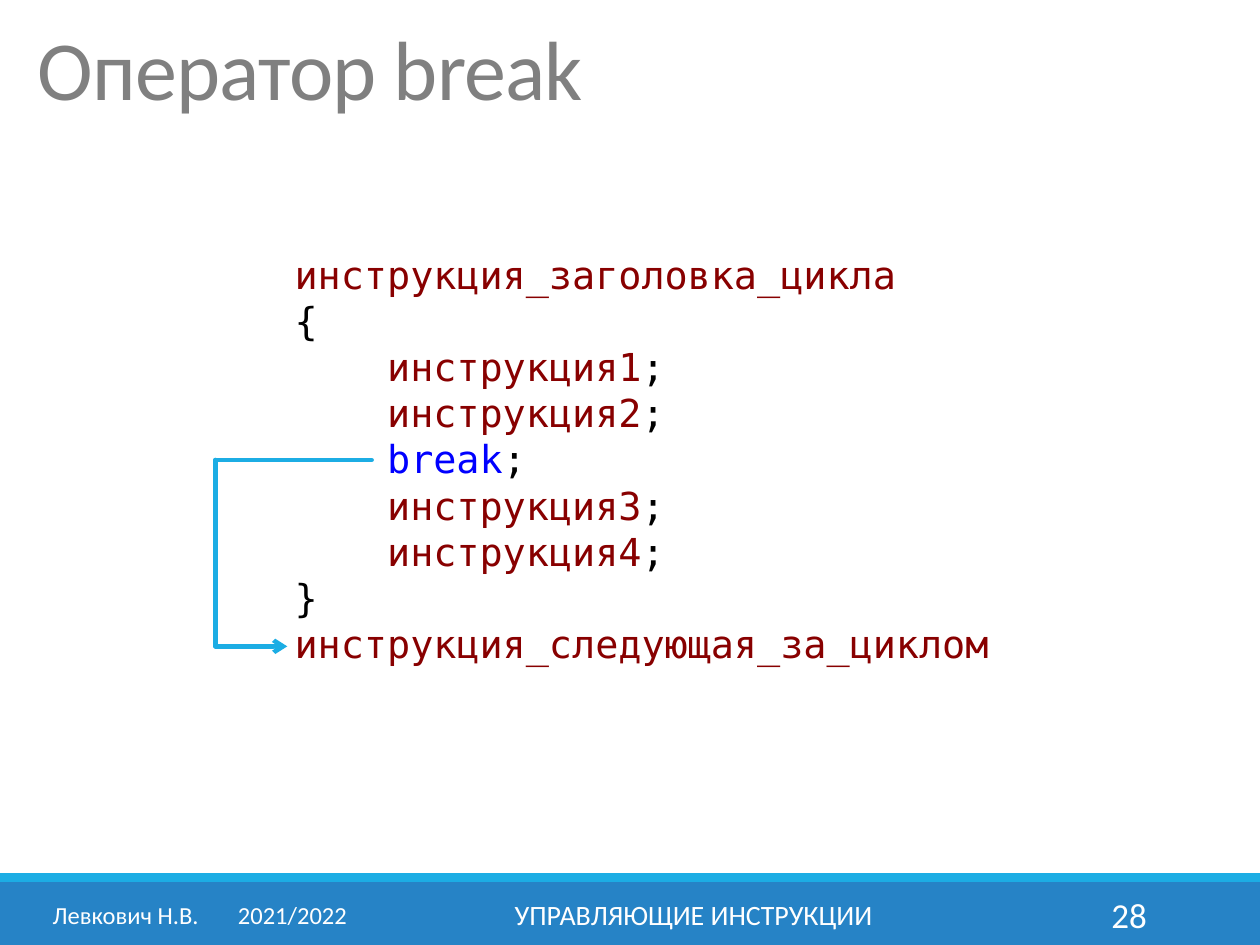
from pptx import Presentation
from pptx import util as u
from pptx.dml.color import RGBColor
from pptx.enum import shapes, text
from pptx.oxml.ns import qn
from lxml import etree

WHITE, GRAY, BLACK = "FFFFFF", "808080", "000000"
CYAN, BLUE, MAROON, KEYWORD = "1CADE4", "2683C6", "880000", "0000FF"
COLUMNS, ROWS = 100, 75
LEFT, CENTER, RIGHT = text.PP_ALIGN.LEFT, text.PP_ALIGN.CENTER, text.PP_ALIGN.RIGHT
MIDDLE, TOP = text.MSO_ANCHOR.MIDDLE, text.MSO_ANCHOR.TOP


def color(value):
    """Turn a hex string into a colour."""
    return RGBColor.from_string(value)


def apply(target, values):
    """Set every attribute named in a dict of format values."""
    for name, value in values.items():
        setattr(target, name, value)


def add_element(parent, tag, **attributes):
    """Append a drawing element to an XML parent."""
    return etree.SubElement(parent, qn(tag), attributes)


class SlideBuilder:
    """Hold the style and the slide, and place elements on a grid."""

    heading = {"name": "Calibri", "size": u.Pt(48)}
    code_font = {"name": "DejaVu Sans Mono", "size": u.Pt(22)}
    code_lines = {"line_spacing": u.Pt(26.4)}

    def __init__(self, presentation):
        """Add a title-only slide to the presentation."""
        self.cell_width = presentation.slide_width / COLUMNS
        self.cell_height = presentation.slide_height / ROWS
        self.slide = presentation.slides.add_slide(presentation.slide_layouts[5])

    def grid(self, *lengths):
        """Convert alternating columns and rows to slide lengths."""
        cells = (self.cell_width, self.cell_height)
        return [round(length * cells[i % 2]) for i, length in enumerate(lengths)]

    def fill_paragraph(self, paragraph, runs, font, layout):
        """Fill a paragraph with coloured runs."""
        apply(paragraph, layout)
        for content, fill in runs:
            run = paragraph.add_run()
            run.text = content
            apply(run.font, font)
            run.font.color.rgb = color(fill)

    def title(self, content, box):
        """Move, format and fill the title placeholder."""
        title = self.slide.shapes.title
        apply(title, dict(zip(("left", "top", "width", "height"), self.grid(*box))))
        apply(title.text_frame, {"vertical_anchor": MIDDLE, "word_wrap": True,
                                 "auto_size": text.MSO_AUTO_SIZE.NONE})
        paragraph = title.text_frame.paragraphs[0]
        self.fill_paragraph(paragraph, [(content, GRAY)], self.heading,
                            {"alignment": LEFT, "line_spacing": 0.85})
        paragraph.runs[0].font._element.set("spc", "-50")

    def bar(self, box, fill):
        """Draw a plain filled bar."""
        bar = self.slide.shapes.add_shape(shapes.MSO_SHAPE.RECTANGLE, *self.grid(*box))
        bar.shadow.inherit = False
        bar.fill.solid()
        bar.fill.fore_color.rgb = color(fill)
        bar.line.fill.background()

    def text_frame(self, box, anchor):
        """Add a wrapping text box and return its frame."""
        frame = self.slide.shapes.add_textbox(*self.grid(*box)).text_frame
        apply(frame, {"word_wrap": True, "vertical_anchor": anchor})
        return frame

    def footer(self, content, box, size, alignment, tab=None):
        """Place one footer field, with an optional tab stop."""
        paragraph = self.text_frame(box, MIDDLE).paragraphs[0]
        if tab:
            stops = add_element(paragraph._p.get_or_add_pPr(), "a:tabLst")
            add_element(stops, "a:tab", pos=str(self.grid(tab)[0]), algn="l")
        self.fill_paragraph(paragraph, [(content, WHITE)],
                            {"name": "Calibri", "size": u.Pt(size)},
                            {"alignment": alignment})

    def code(self, lines, box):
        """Place code with one paragraph per line."""
        frame = self.text_frame(box, TOP)
        for index, runs in enumerate(lines):
            paragraph = frame.add_paragraph() if index else frame.paragraphs[0]
            self.fill_paragraph(paragraph, runs, self.code_font, self.code_lines)

    def arrow(self, points, stroke, width):
        """Group straight segments through the points, ending in an arrowhead."""
        group = self.slide.shapes.add_group_shape()
        for start, end in zip(points, points[1:]):
            segment = group.shapes.add_connector(
                shapes.MSO_CONNECTOR.STRAIGHT, *self.grid(*start, *end))
            segment.line.width = u.Pt(width)
            segment.line.color.rgb = color(stroke)
            segment.line._get_or_add_ln().set("cap", "rnd")
            add_element(segment._element.spPr, "a:effectLst")
        add_element(segment.line._get_or_add_ln(), "a:tailEnd", type="arrow")


def statement(word, fill=MAROON):
    """Return the runs of an indented statement."""
    return [("    " + word, fill), (";", BLACK)]


def main():
    """Build and save the slide."""
    presentation = Presentation()
    apply(presentation, {"slide_width": u.Inches(10), "slide_height": u.Inches(7.5)})
    builder = SlideBuilder(presentation)
    builder.bar((0, 70, 100, 5), BLUE)
    builder.bar((0, 69.3, 100, 0.7), CYAN)
    builder.title("Оператор break", (2, 0.2, 95.3, 11.5))
    builder.code([
        [("инструкция_заголовка_цикла", MAROON)],
        [("{", BLACK)],
        statement("инструкция1"),
        statement("инструкция2"),
        statement("break", KEYWORD),
        statement("инструкция3"),
        statement("инструкция4"),
        [("}", BLACK)],
        [("инструкция_следующая_за_циклом", MAROON)],
    ], (22.4, 19.4, 59.4, 34.3))
    builder.arrow([(29.5, 36.5), (17.1, 36.5), (17.1, 51.3), (22.8, 51.3)], CYAN, 2.5)
    builder.footer("Левкович Н.В.\t2021/2022", (3.2, 70.6, 26.1, 4), 14, LEFT, tab=14.7)
    builder.footer("УПРАВЛЯЮЩИЕ ИНСТРУКЦИИ", (30.2, 70.6, 49.7, 4), 16, CENTER)
    builder.footer("28", (81.2, 70.6, 10.8, 4), 20, RIGHT)
    presentation.save("out.pptx")


if __name__ == "__main__":
    main()
